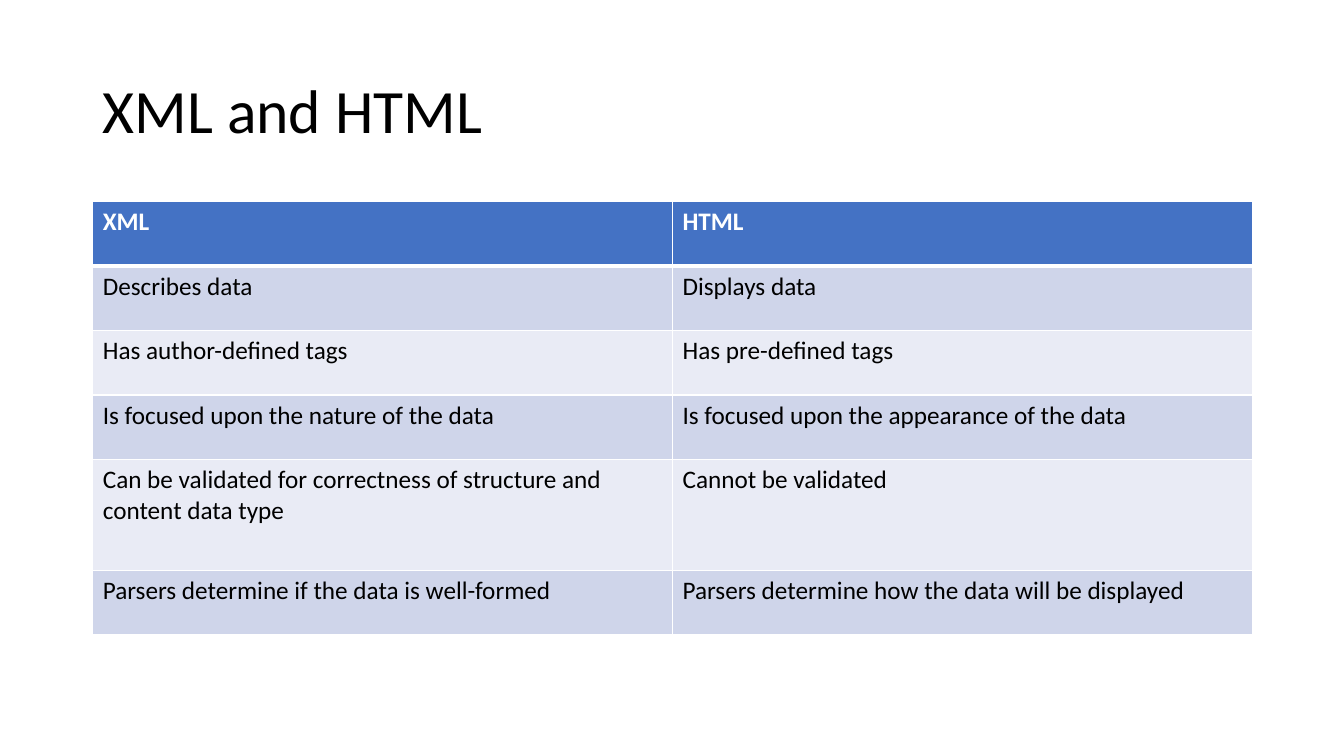
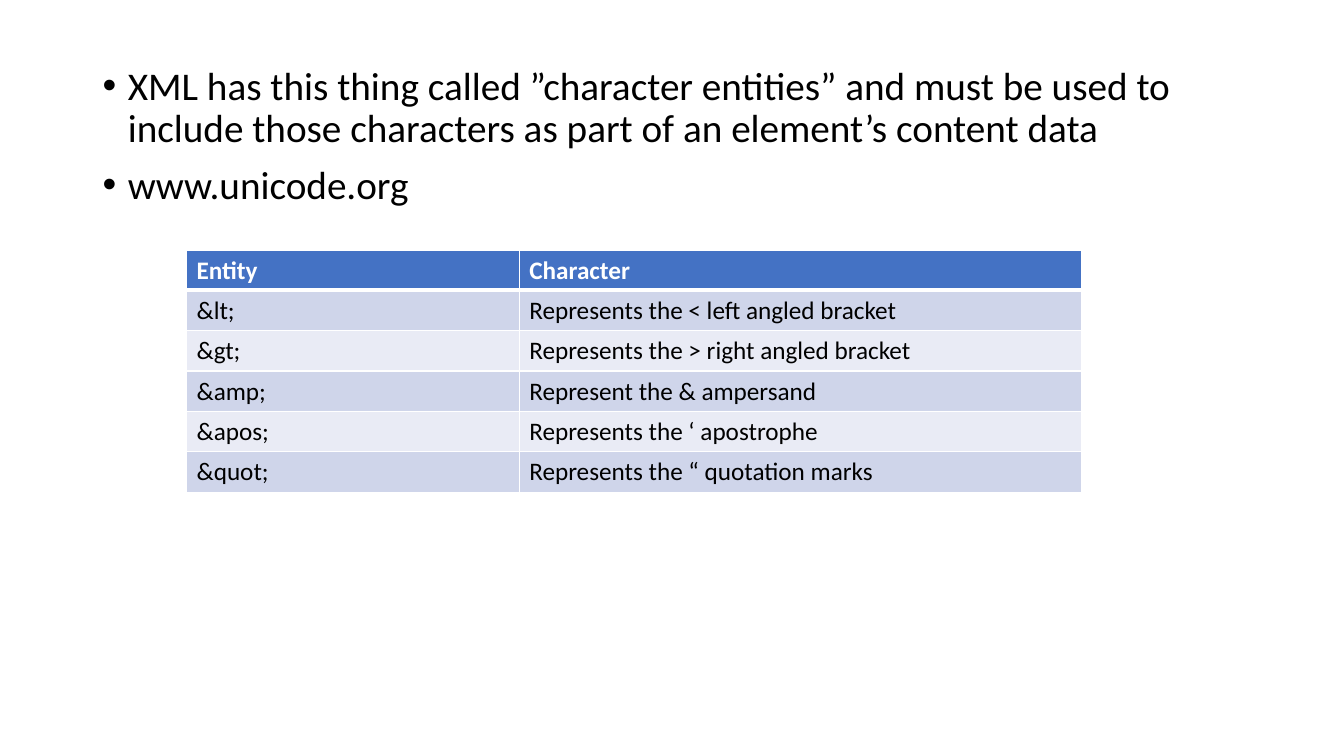
from lxml import etree
from pptx import Presentation
from pptx.dml.color import RGBColor
from pptx.enum.text import MSO_ANCHOR
from pptx.oxml.ns import qn
from pptx.util import Inches, Pt

TOP, MIDDLE = MSO_ANCHOR.TOP, MSO_ANCHOR.MIDDLE

# Shared style
FONT = "Calibri"
BLACK = RGBColor(0x00, 0x00, 0x00)
WHITE = RGBColor(0xFF, 0xFF, 0xFF)
BLUE = RGBColor(0x44, 0x72, 0xC4)
BANDS = (RGBColor(0xCF, 0xD5, 0xEA), RGBColor(0xE9, 0xEB, 0xF5))
LEFT, WIDTH = 0.92, 11.5
THIN, THICK = 1, 3

# Slide content
FORMATS = [
    ("XML", "HTML"),
    ("Describes data", "Displays data"),
    ("Has author-defined tags", "Has pre-defined tags"),
    ("Is focused upon the nature of the data",
     "Is focused upon the appearance of the data"),
    ("Can be validated for correctness of structure and content data type",
     "Cannot be validated"),
    ("Parsers determine if the data is well-formed",
     "Parsers determine how the data will be displayed"),
]
POINTS = [
    "XML has this thing called ”character entities” and must be used to "
    "include those characters as part of an element’s content data",
    "www.unicode.org",
]
ENTITIES = [
    ("Entity", "Character"),
    ("&lt;", "Represents the < left angled bracket"),
    ("&gt;", "Represents the > right angled bracket"),
    ("&amp;", "Represent the & ampersand"),
    ("&apos;", "Represents the ‘ apostrophe"),
    ("&quot;", "Represents the “ quotation marks"),
]


def add_run(para, text, size, color=BLACK, bold=False):
    run = para.add_run()
    run.text = text
    run.font.name = FONT
    run.font.size = Pt(size)
    run.font.bold = bold
    run.font.color.rgb = color


def add_box(slide, top, height, anchor):
    box = slide.shapes.add_textbox(
        Inches(LEFT), Inches(top), Inches(WIDTH), Inches(height))
    frame = box.text_frame
    frame.word_wrap = True
    frame.vertical_anchor = anchor
    return frame


def add_title(slide, text):
    para = add_box(slide, 0.4, 1.45, MIDDLE).paragraphs[0]
    para.line_spacing = 0.9
    add_run(para, text, 44)


def add_bullets(slide, points):
    frame = add_box(slide, 0.61, 6.15, TOP)
    for i, text in enumerate(points):
        para = frame.add_paragraph() if i else frame.paragraphs[0]
        para.line_spacing = 0.9
        para.space_before = Pt(10)
        props = para._p.get_or_add_pPr()
        props.set("marL", str(Inches(0.25)))
        props.set("indent", str(-Inches(0.25)))
        etree.SubElement(props, qn("a:buFont"), typeface="Arial")
        etree.SubElement(props, qn("a:buChar"), char="•")
        add_run(para, text, 28)


def add_borders(cell, top, bottom):
    props = cell._tc.get_or_add_tcPr()
    sides = {"L": THIN, "R": THIN, "T": top, "B": bottom}
    for side, width in sides.items():
        line = etree.SubElement(props, qn(f"a:ln{side}"), w=str(Pt(width)))
        fill = etree.SubElement(line, qn("a:solidFill"))
        etree.SubElement(fill, qn("a:srgbClr"), val=str(WHITE))


def fill_cell(cell, text, row):
    head = row == 0
    # Borders come before the fill in the cell properties
    add_borders(cell, THICK if row == 1 else THIN, THICK if head else THIN)
    cell.fill.solid()
    cell.fill.fore_color.rgb = BLUE if head else BANDS[(row - 1) % 2]
    add_run(cell.text_frame.paragraphs[0], text, 18,
            WHITE if head else BLACK, head)


def add_grid(slide, left, top, widths, heights, data):
    table = slide.shapes.add_table(
        len(data), len(widths), Inches(left), Inches(top),
        Inches(sum(widths)), Inches(sum(heights))).table
    for col, width in zip(table.columns, widths):
        col.width = Inches(width)
    for r, (height, texts) in enumerate(zip(heights, data)):
        table.rows[r].height = Inches(height)
        for c, text in enumerate(texts):
            fill_cell(table.cell(r, c), text, r)


def main():
    deck = Presentation()
    deck.slide_width, deck.slide_height = Inches(13.33), Inches(7.5)
    blank = deck.slide_layouts[6]

    # XML compared with HTML
    slide = deck.slides.add_slide(blank)
    add_title(slide, "XML and HTML")
    heights = [0.64] * 4 + [1.1, 0.64]
    add_grid(slide, LEFT, 2, [WIDTH / 2] * 2, heights, FORMATS)

    # Character entities
    slide = deck.slides.add_slide(blank)
    add_bullets(slide, POINTS)
    add_grid(slide, 1.85, 2.48, [3.3, 5.58], [0.4] * len(ENTITIES), ENTITIES)

    deck.save("out.pptx")


if __name__ == "__main__":
    main()
